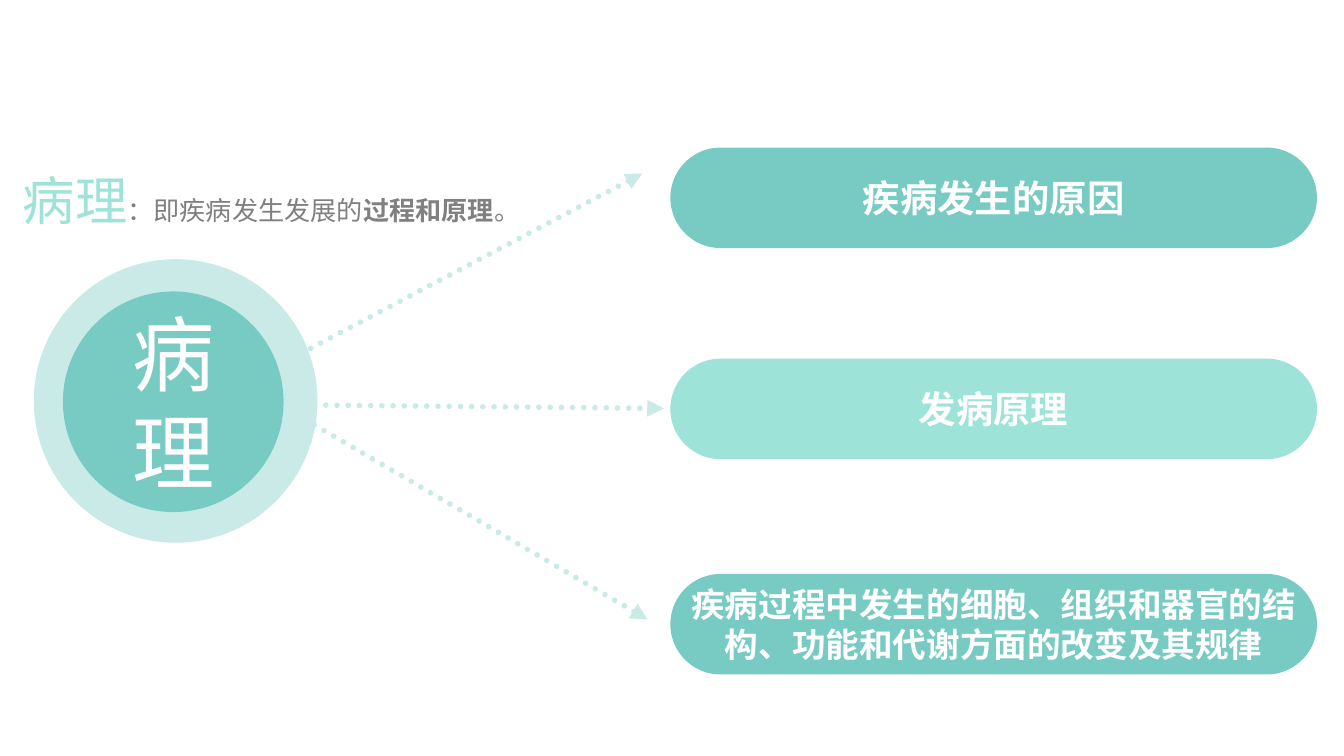
from lxml.etree import SubElement
from pptx import Presentation
from pptx.dml.color import RGBColor
from pptx.enum.shapes import MSO_CONNECTOR as Connector, MSO_SHAPE as Shape
from pptx.enum.text import MSO_ANCHOR as Anchor, MSO_AUTO_SIZE as AutoSize, PP_ALIGN as Align
from pptx.oxml.ns import qn
from pptx.util import Cm, Pt

TEAL = RGBColor(0x77, 0xCB, 0xC3)
MINT = RGBColor(0x9D, 0xE3, 0xD7)
PALE = RGBColor(0xC9, 0xEA, 0xE7)
GREY = RGBColor(0x80, 0x80, 0x80)
WHITE = RGBColor(0xFF, 0xFF, 0xFF)
LATIN = "Arial"
CHINESE = "Noto Sans CJK SC"

PILL_LEFT, PILL_WIDTH, PILL_HEIGHT = 12.67, 12.22, 1.9
PILLS = [
    (2.79, TEAL, 20, "疾病发生的原因"),
    (6.78, MINT, 20, "发病原理"),
    (10.85, TEAL, 18, "疾病过程中发生的细胞、组织和器官的结构、功能和代谢方面的改变及其规律"),
]
ARROWS = [
    (5.31, 6.88, 12.14, 3.28),
    (5.31, 7.65, 12.55, 7.72),
    (5.94, 8.03, 12.24, 11.71),
]
DEFINITION = [
    ("病理", 28, MINT, False),
    ("：即疾病发生发展的", 14, GREY, False),
    ("过程和原理", 14, GREY, True),
    ("。", 14, GREY, False),
]


def apply(target, formats):
    for name, value in formats.items():
        setattr(target, name, value)


def add_span(para, text, size, color, bold=False, font=CHINESE):
    span = para.add_run()
    span.text = text
    apply(span.font, {"name": font, "size": Pt(size), "bold": bold})
    span.font.color.rgb = color
    SubElement(span.font._element, qn("a:ea"), typeface=CHINESE)


def add_solid(page, kind, place, color):
    solid = page.shapes.add_shape(kind, *map(Cm, place))
    solid.shadow.inherit = False
    solid.fill.solid()
    solid.fill.fore_color.rgb = color
    solid.line.fill.background()
    return solid


def add_label(solid, text, size, **style):
    apply(solid.text_frame, {
        "margin_left": 0, "margin_right": 0, "margin_top": 0, "margin_bottom": 0,
        "vertical_anchor": Anchor.MIDDLE, "word_wrap": True,
    })
    para = solid.text_frame.paragraphs[0]
    para.alignment = Align.CENTER
    add_span(para, text, size, WHITE, **style)


def add_pill(page, top, color, size, text):
    pill = add_solid(page, Shape.ROUNDED_RECTANGLE,
                     (PILL_LEFT, top, PILL_WIDTH, PILL_HEIGHT), color)
    pill.adjustments[0] = 0.5
    add_label(pill, text, size, bold=True, font=LATIN)


def add_arrow(page, ends):
    arrow = page.shapes.add_connector(Connector.STRAIGHT, *map(Cm, ends))
    arrow.line.width = Pt(3)
    arrow.line.color.rgb = PALE
    stroke = arrow.line._get_or_add_ln()
    stroke.set("cap", "rnd")
    SubElement(stroke, qn("a:prstDash"), val="sysDot")
    SubElement(stroke, qn("a:round"))
    SubElement(stroke, qn("a:tailEnd"), type="triangle")
    SubElement(arrow._element.spPr, qn("a:effectLst"))


def fill_title(page):
    title = page.shapes.title
    apply(title, {"left": Cm(0.18), "top": Cm(2.46), "width": Cm(10.39), "height": Cm(1.83)})
    apply(title.text_frame, {
        "auto_size": AutoSize.NONE, "vertical_anchor": Anchor.TOP, "word_wrap": True,
    })
    para = title.text_frame.paragraphs[0]
    apply(para, {"alignment": Align.LEFT, "line_spacing": 1.5, "space_before": Pt(0)})
    for span in DEFINITION:
        add_span(para, *span)


def main():
    deck = Presentation()
    apply(deck, {"slide_width": Cm(25.4), "slide_height": Cm(14.29)})
    page = deck.slides.add_slide(deck.slide_layouts.get_by_name("Title Only"))
    fill_title(page)
    for ends in ARROWS:
        add_arrow(page, ends)
    for pill in PILLS:
        add_pill(page, *pill)
    add_solid(page, Shape.OVAL, (0.64, 4.9, 5.36, 5.36), PALE)
    core = add_solid(page, Shape.OVAL, (1.19, 5.51, 4.17, 4.17), TEAL)
    add_label(core, "病理", 44)
    deck.save("out.pptx")


if __name__ == "__main__":
    main()
